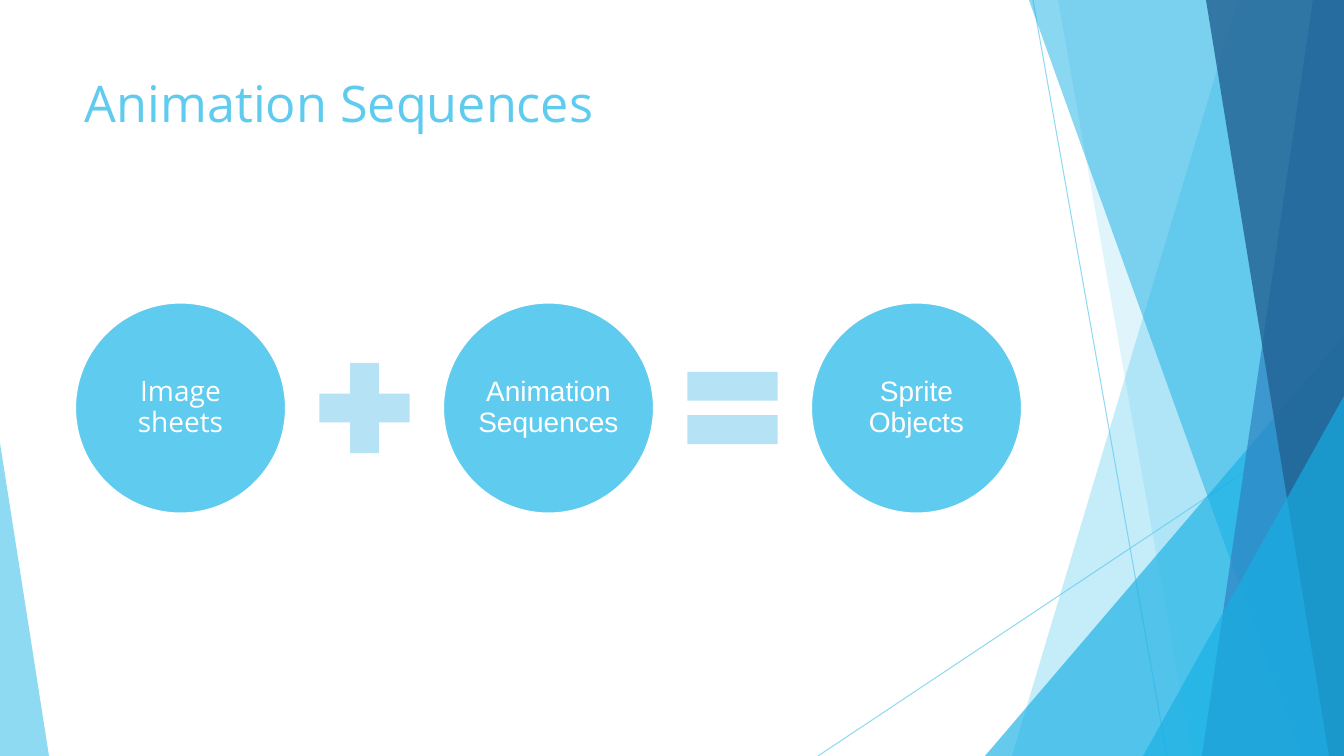
from lxml import etree
from pptx import Presentation, util as u
from pptx.dml.color import RGBColor
from pptx.enum import shapes, text
from pptx.oxml.ns import qn

W, H = 1344, 756
PX = 914400 / 100.8
SKY, CYAN, BLUE, NAVY, PALE, WHITE = "5FCBEF", "17B0E4", "2E83C3", "226292", "B6E2F6", "FFFFFF"
MSO = shapes.MSO_SHAPE

TITLE = "Animation Sequences"
TERMS = [("Image sheets", "Open Sans"), ("Animation Sequences", "Arial"), ("Sprite Objects", "Arial")]
OPERATORS = [MSO.MATH_PLUS, MSO.MATH_EQUAL]
RAYS = [(1033, 0, 1167, H), (W, 406, 818, H)]
FACETS = [
    ("band", (1238, 1012), SKY, 36),
    ("band", (1058, 1192), SKY, 20),
    ("triangle", (985, 336, 359, 420, 1), CYAN, 66),
    ("band", (1029, 1301), CYAN, 50),
    ("band", (1313, 1202), BLUE, 70),
    ("band", (1206, 1329), NAVY, 80),
    ("triangle", (1143, 396, 201, 360, 1), CYAN, 66),
    ("triangle", (0, 443, 49, 313, 0), SKY, 70),
]
LEFT, CENTRE, PITCH, CIRCLE, OPERATOR = 75, 408, 368, 211, 123


def px(*values):
    return [u.Emu(round(v * PX)) for v in values]


def color(fmt, value, alpha=100):
    fmt.solid()
    fmt.fore_color.rgb = RGBColor.from_string(value)
    if alpha < 100:
        srgb = fmt._xPr.find(".//" + qn("a:srgbClr"))
        etree.SubElement(srgb, qn("a:alpha"), val=str(alpha * 1000))


def paint(sp, value, alpha=100):
    sp.shadow.inherit = False
    color(sp.fill, value, alpha)
    sp.line.fill.background()
    return sp


def write(sp, content, font, size, value, frame, para):
    tf = sp.text_frame
    p = tf.paragraphs[0]
    r = p.add_run()
    r.text = content
    color(r.font.fill, value)
    run = dict(name=font, size=u.Pt(size))
    for target, attrs in ((tf, frame), (p, para), (r.font, run)):
        for key, val in attrs.items():
            setattr(target, key, val)


prs = Presentation()
prs.slide_width, prs.slide_height = px(W, H)
s = prs.slides.add_slide(prs.slide_layouts[6])

for ends in RAYS:
    ray = s.shapes.add_connector(shapes.MSO_CONNECTOR.STRAIGHT, *px(*ends))
    color(ray.line.fill, SKY, 70)
    ray.line.width = u.Pt(0.75)
    etree.SubElement(ray._element.spPr, qn("a:effectLst"))

for kind, geometry, value, alpha in FACETS:
    if kind == "band":
        top, bottom = geometry
        outline = s.shapes.build_freeform(top, 0, PX)
        outline.add_line_segments([(W, 0), (W, H), (bottom, H)])
        sp = outline.convert_to_shape()
    else:
        *box, apex = geometry
        sp = s.shapes.add_shape(MSO.ISOSCELES_TRIANGLE, *px(*box))
        sp.adjustments[0] = apex
    paint(sp, value, alpha)

title = s.shapes.add_textbox(*px(75, 67, 948, 145))
write(title, TITLE, "Open Sans", 36, SKY, dict(word_wrap=True), {})

inset = px(3)[0]
frame = dict(word_wrap=True, vertical_anchor=text.MSO_ANCHOR.MIDDLE,
             margin_left=inset, margin_right=inset, margin_top=inset, margin_bottom=inset)
para = dict(alignment=text.PP_ALIGN.CENTER, line_spacing=0.9)
for i, (term, font) in enumerate(TERMS):
    x = LEFT + i * PITCH
    sp = paint(s.shapes.add_shape(MSO.OVAL, *px(x, CENTRE - CIRCLE / 2, CIRCLE, CIRCLE)), SKY)
    color(sp.line.fill, WHITE)
    sp.line.width = u.Pt(1.5)
    write(sp, term, font, 20, WHITE, frame, para)

for i, sign in enumerate(OPERATORS):
    x = LEFT + i * PITCH + (CIRCLE + PITCH - OPERATOR) / 2
    paint(s.shapes.add_shape(sign, *px(x, CENTRE - OPERATOR / 2, OPERATOR, OPERATOR)), PALE)

prs.save("out.pptx")
